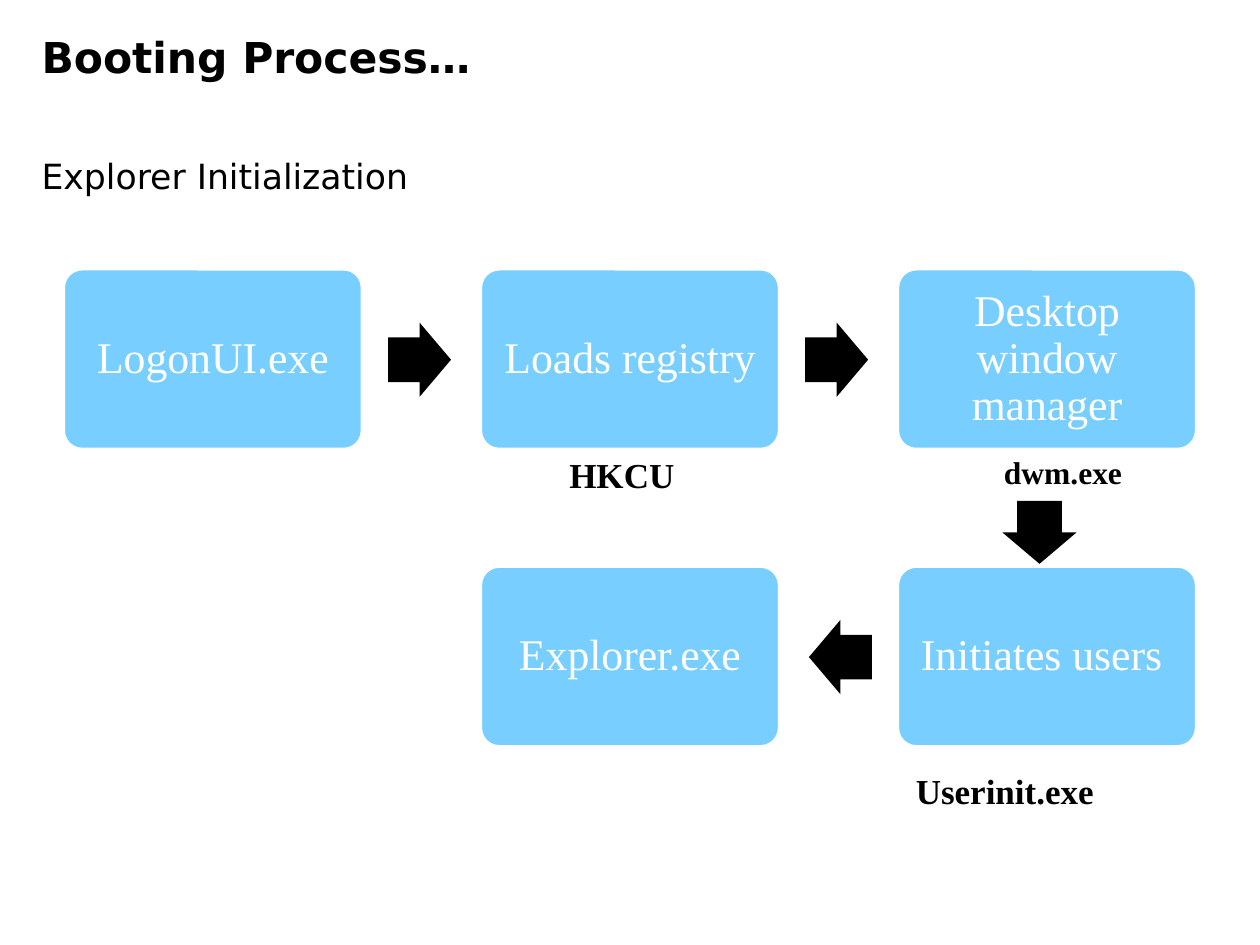
from dataclasses import dataclass
from pptx import Presentation
from pptx.dml.color import RGBColor as RGB
from pptx.enum.shapes import MSO_SHAPE as Shape
from pptx.enum.text import MSO_ANCHOR as Anchor, MSO_AUTO_SIZE as Fit, PP_ALIGN as Align
from pptx.util import Inches, Pt


@dataclass(frozen=True)
class Theme:
    """Colours, fonts and type sizes of the slide."""
    ink: RGB = RGB(0, 0, 0)
    paper: RGB = RGB(255, 255, 255)
    card: RGB = RGB(0x78, 0xCF, 0xFF)
    sans: str = "DejaVu Sans"
    serif: str = "Times New Roman"
    head: float = 24.3
    sub: float = 19.8
    step: float = 25
    note: float = 20
    small: float = 18


LOOK = Theme()
STEPS = [
    ("LogonUI.exe", 0, 0),
    ("Loads registry", 1, 0),
    ("Desktop window manager", 2, 0),
    ("Initiates users ", 2, 1),
    ("Explorer.exe", 1, 1),
]
ARROWS = [(2.82, 0.71, 0), (6.13, 0.71, 0), (7.74, 2.08, 90), (6.16, 3.07, 180)]
NOTES = [
    ("Userinit.exe", 6.66, 3.92, 2.17, 0.44, LOOK.note),
    ("HKCU", 3.91, 1.41, 1.5, 0.44, LOOK.note),
    ("dwm.exe", 7.36, 1.41, 1.17, 0.4, LOOK.small),
]


def style(item, form):
    """Set each attribute of item named in form."""
    for key, value in form.items():
        setattr(item, key, value)


def write(para, text, face, size, hue, bold=False, **form):
    """Fill a paragraph with one formatted run."""
    style(para, form)
    run = para.add_run()
    run.text = text
    style(run.font, {"name": face, "size": Pt(size), "bold": bold})
    run.font.color.rgb = hue


def paint(shape, hue):
    """Give a shape a flat fill without shadow."""
    shape.shadow.inherit = False
    shape.fill.solid()
    shape.fill.fore_color.rgb = hue


def add_title(slide, left, top, width, height):
    """Place the title and its subtitle in the title placeholder."""
    title = slide.shapes.title
    style(title, {"left": left, "top": top, "width": width, "height": height})
    frame = title.text_frame
    pads = dict.fromkeys(
        ("margin_left", "margin_right", "margin_top", "margin_bottom"), 0)
    style(frame, {**pads, "word_wrap": True, "auto_size": Fit.NONE,
                  "vertical_anchor": Anchor.TOP})
    form = {"alignment": Align.LEFT, "line_spacing": 0.9}
    write(frame.paragraphs[0], "Booting Process…", LOOK.sans, LOOK.head,
          LOOK.ink, True, space_before=Pt(0), **form)
    write(frame.add_paragraph(), "Explorer Initialization", LOOK.sans,
          LOOK.sub, LOOK.ink, space_before=Pt(44), **form)


def add_card(slide, text, left, top, width, height):
    """Draw one rounded step with centred text."""
    card = slide.shapes.add_shape(
        Shape.ROUNDED_RECTANGLE, left, top, width, height)
    card.adjustments[0] = 0.1
    paint(card, LOOK.card)
    card.line.color.rgb = LOOK.paper
    card.line.width = Pt(1)
    frame = card.text_frame
    pad = Inches(0.1)
    style(frame, {"word_wrap": True, "vertical_anchor": Anchor.MIDDLE,
                  "margin_left": pad, "margin_right": pad,
                  "margin_top": pad, "margin_bottom": pad})
    write(frame.paragraphs[0], text, LOOK.serif, LOOK.step, LOOK.paper,
          alignment=Align.CENTER, line_spacing=0.9)


def add_arrow(slide, left, top, turn):
    """Draw one block arrow turned by the given degrees."""
    arrow = slide.shapes.add_shape(
        Shape.RIGHT_ARROW, left, top, Inches(0.5), Inches(0.59))
    arrow.adjustments[0] = 0.6
    arrow.adjustments[1] = 0.5
    arrow.rotation = turn
    paint(arrow, LOOK.ink)
    arrow.line.fill.background()


def add_note(slide, text, left, top, width, height, size):
    """Place one bold file or key name."""
    frame = slide.shapes.add_textbox(left, top, width, height).text_frame
    style(frame, {"word_wrap": True, "auto_size": Fit.SHAPE_TO_FIT_TEXT})
    write(frame.paragraphs[0], text, LOOK.serif, size, LOOK.ink, True)


def add_flow(slide, left, top, width, height):
    """Lay the steps on a three by two grid with arrows and notes."""
    wide, high = Inches(2.36), Inches(1.42)
    across, down = (width - wide) // 2, height - high
    for text, col, row in STEPS:
        add_card(slide, text, left + col * across, top + row * down, wide, high)
    for x, y, turn in ARROWS:
        add_arrow(slide, left + Inches(x) - Inches(0.25), top + Inches(y)
                  - Inches(0.29), turn)
    for text, x, y, w, h, size in NOTES:
        add_note(slide, text, left + Inches(x), top + Inches(y),
                 Inches(w), Inches(h), size)


def main():
    """Build and save the slide."""
    deck = Presentation()
    style(deck, {"slide_width": Inches(10), "slide_height": Inches(7.5)})
    slide = deck.slides.add_slide(deck.slide_layouts[5])
    add_title(slide, Inches(0.33), Inches(0.29), Inches(9.04), Inches(1.34))
    add_flow(slide, Inches(0.51), Inches(2.14), Inches(8.98), Inches(3.78))
    deck.save("out.pptx")


if __name__ == "__main__":
    main()
